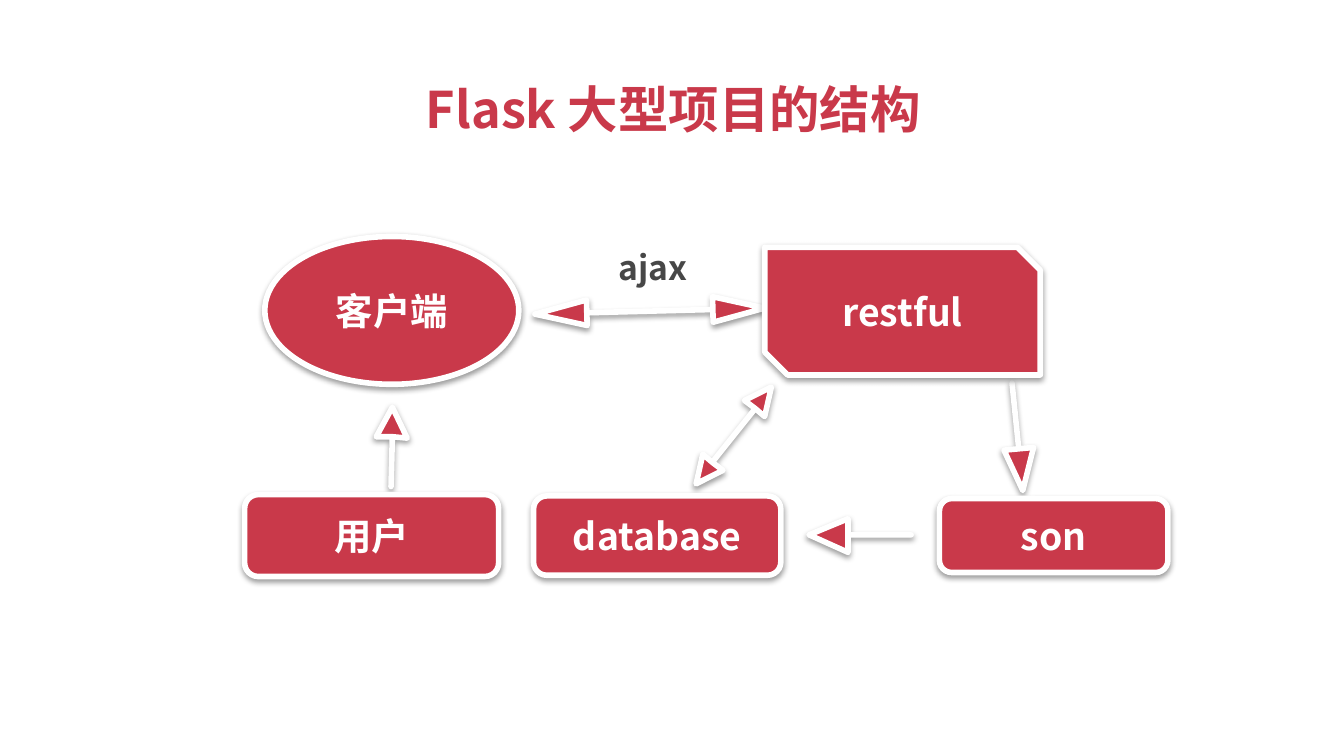
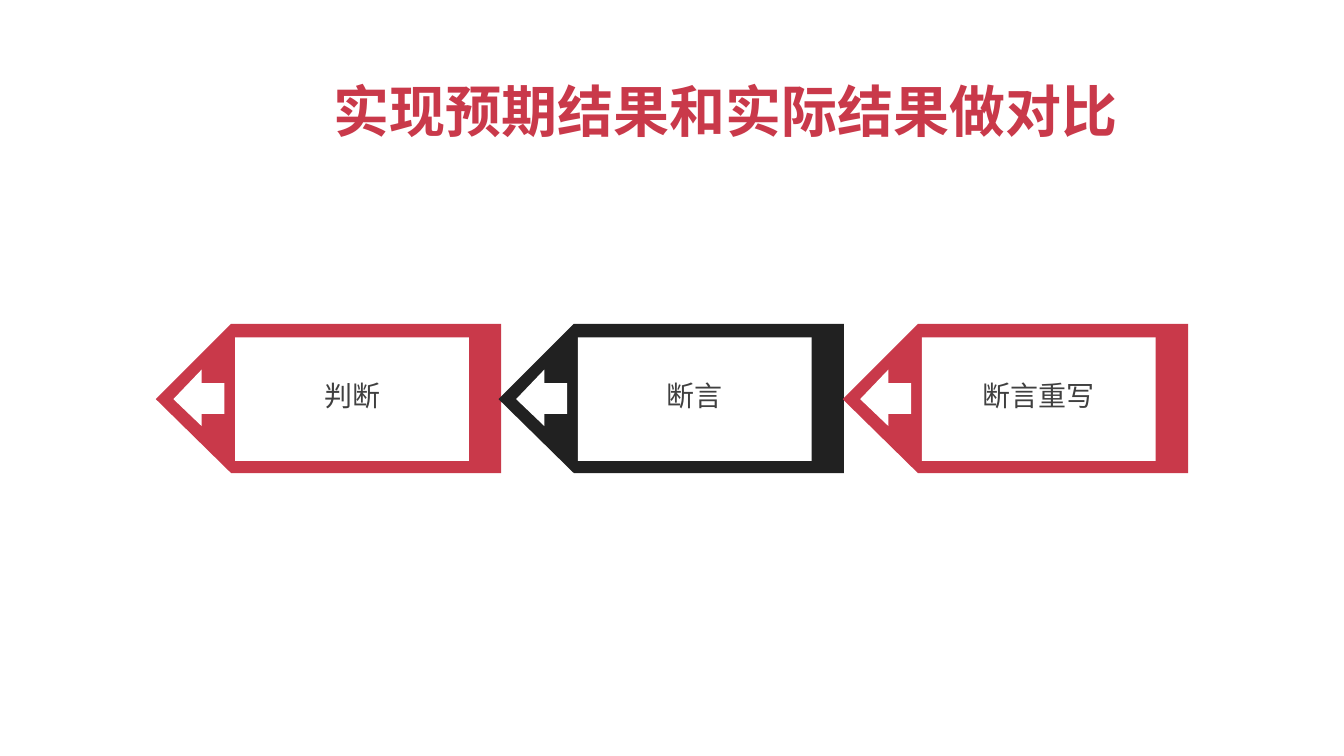
from dataclasses import dataclass

from lxml.etree import SubElement
from pptx import Presentation
from pptx.dml.color import RGBColor
from pptx.enum.shapes import MSO_SHAPE as Shape
from pptx.enum.text import MSO_ANCHOR as Anchor, PP_ALIGN as Align
from pptx.oxml.ns import qn
from pptx.util import Emu, Pt

PX = 9144  # EMU in one px, 100 px to the inch
SLIDE_WIDTH = 1000 * PX
SLIDE_HEIGHT = SLIDE_WIDTH * 9 // 16
FONT = "Noto Sans CJK SC"
RED, BLACK, WHITE = "C9394A", "212121", "FFFFFF"
LABEL_GREY, TEXT_GREY = "474747", "404040"
TITLE_ONLY = 5

Point = tuple[int, int]


@dataclass(frozen=True)
class Box:
    x: int
    y: int
    w: int
    h: int

    def emu(self) -> tuple[Emu, ...]:
        return tuple(Emu(n * PX) for n in (self.x, self.y, self.w, self.h))


@dataclass(frozen=True)
class TextStyle:
    size: int
    color: str
    bold: bool = True
    align: Align = Align.CENTER
    anchor: Anchor = Anchor.MIDDLE
    wrap: bool = True


@dataclass(frozen=True)
class Node:
    text: str
    kind: Shape
    box: Box


@dataclass(frozen=True)
class Pencil:
    text: str
    color: str


NODE_STYLE = TextStyle(20, WHITE)
AJAX_STYLE = TextStyle(18, LABEL_GREY)
PENCIL_STYLE = TextStyle(15, TEXT_GREY, bold=False, anchor=Anchor.TOP)

NODES = [
    Node("database", Shape.ROUNDED_RECTANGLE, Box(397, 369, 184, 59)),
    Node("用户", Shape.ROUNDED_RECTANGLE, Box(182, 368, 189, 61)),
    Node("son", Shape.ROUNDED_RECTANGLE, Box(699, 371, 170, 55)),
    Node("客户端", Shape.OVAL, Box(197, 176, 189, 110)),
]
RESTFUL = [(569, 184), (757, 184), (774, 201), (774, 279), (586, 279), (569, 262)]

ARROWS = {
    "restful and database": [
        (562, 304), (554, 298), (574, 288), (569, 310), (562, 304),
        (530, 344), (538, 350), (518, 360), (523, 338), (530, 344)],
    "restful to son": [
        (769, 333), (761, 365), (747, 335), (758, 334), (753, 285), (758, 334)],
    "son to database": [
        (631, 411), (602, 398), (631, 386), (631, 398), (678, 398), (631, 398)],
    "user to client": [
        (280, 325), (292, 303), (303, 326), (292, 325), (291, 362), (292, 325)],
}

PENCILS = [Pencil("判断", RED), Pencil("断言", BLACK), Pencil("断言重写", RED)]
PENCIL_LEFT, PENCIL_TOP, PENCIL_PITCH = 116, 241, 255.5
PENCIL_BODY = [(56, 0), (257, 0), (257, 111), (56, 111), (0, 56)]
PENCIL_ARROW = [(34, 34), (34, 44), (51, 44), (51, 67), (34, 67), (34, 76), (13, 56)]


def rgb(color: str) -> RGBColor:
    return RGBColor.from_string(color)


def write(sp, text: str, style: TextStyle) -> None:
    tf = sp.text_frame
    tf.text = text
    tf.word_wrap = style.wrap
    tf.vertical_anchor = style.anchor
    tf.margin_left = tf.margin_right = tf.margin_top = tf.margin_bottom = Emu(5 * PX)
    p = tf.paragraphs[0]
    p.alignment = style.align
    p.font.size = Pt(style.size)
    p.font.bold = style.bold
    p.font.color.rgb = rgb(style.color)
    p.font.name = FONT
    # East Asian glyphs take their own typeface entry
    SubElement(p.font._element, qn("a:ea"), typeface=FONT)


def paint(sp, color: str) -> None:
    """Give a plain fill with neither line nor shadow."""
    sp.shadow.inherit = False
    sp.fill.solid()
    sp.fill.fore_color.rgb = rgb(color)
    sp.line.fill.background()


def paint_raised(sp) -> None:
    """Give a red fill, a thick white line and a soft shadow below."""
    paint(sp, RED)
    sp.line.color.rgb = rgb(WHITE)
    sp.line.width = Pt(3)
    effects = sp._element.spPr.find(qn("a:effectLst"))
    shadow = SubElement(effects, qn("a:outerShdw"), blurRad=str(Pt(3)),
                        dist=str(Pt(1.6)), dir="5400000", rotWithShape="0")
    black = SubElement(shadow, qn("a:srgbClr"), val="000000")
    SubElement(black, qn("a:alpha"), val="38000")


def add_outline(s, points: list[Point], left: int = 0, top: int = 0):
    moved = [(x + left, y + top) for x, y in points]
    builder = s.shapes.build_freeform(*moved[0], scale=PX)
    builder.add_line_segments(moved[1:], close=True)
    return builder.convert_to_shape()


def add_text(s, text: str, box: Box, style: TextStyle) -> None:
    write(s.shapes.add_textbox(*box.emu()), text, style)


def add_slide(prs, title: str, box: Box, style: TextStyle):
    s = prs.slides.add_slide(prs.slide_layouts[TITLE_ONLY])
    sp = s.shapes.title
    sp.left, sp.top, sp.width, sp.height = box.emu()
    write(sp, title, style)
    return s


def add_client_arrow(s, box: Box) -> None:
    sp = s.shapes.add_shape(Shape.LEFT_RIGHT_ARROW, *box.emu())
    sp.adjustments[0] = 0
    sp.adjustments[1] = 2.03
    sp.rotation = 178.5
    paint_raised(sp)


def add_pencil(s, pencil: Pencil, left: int) -> None:
    paint(add_outline(s, PENCIL_BODY, left, PENCIL_TOP), pencil.color)
    window = Box(left + 59, PENCIL_TOP + 10, 174, 92)
    paint(s.shapes.add_shape(Shape.RECTANGLE, *window.emu()), WHITE)
    paint(add_outline(s, PENCIL_ARROW, left, PENCIL_TOP), WHITE)
    label = Box(window.x, PENCIL_TOP + 36, window.w, 39)
    add_text(s, pencil.text, label, PENCIL_STYLE)


def build_structure(prs) -> None:
    s = add_slide(prs, "Flask 大型项目的结构", Box(51, 53, 900, 63),
                  TextStyle(27, RED, anchor=Anchor.TOP))
    add_client_arrow(s, Box(398, 222, 171, 19))
    for points in ARROWS.values():
        paint_raised(add_outline(s, points))
    for node in NODES:
        sp = s.shapes.add_shape(node.kind, *node.box.emu())
        paint_raised(sp)
        write(sp, node.text, NODE_STYLE)
    restful = add_outline(s, RESTFUL)
    paint_raised(restful)
    write(restful, "restful", NODE_STYLE)
    add_text(s, "ajax", Box(437, 178, 98, 41), AJAX_STYLE)


def build_comparison(prs) -> None:
    s = add_slide(prs, "实现预期结果和实际结果做对比", Box(243, 52, 595, 68),
                  TextStyle(30, RED, align=Align.LEFT, anchor=Anchor.TOP, wrap=False))
    for i, pencil in enumerate(PENCILS):
        add_pencil(s, pencil, PENCIL_LEFT + int(i * PENCIL_PITCH))


def main() -> None:
    prs = Presentation()
    prs.slide_width, prs.slide_height = Emu(SLIDE_WIDTH), Emu(SLIDE_HEIGHT)
    build_structure(prs)
    build_comparison(prs)
    prs.save("out.pptx")


if __name__ == "__main__":
    main()
